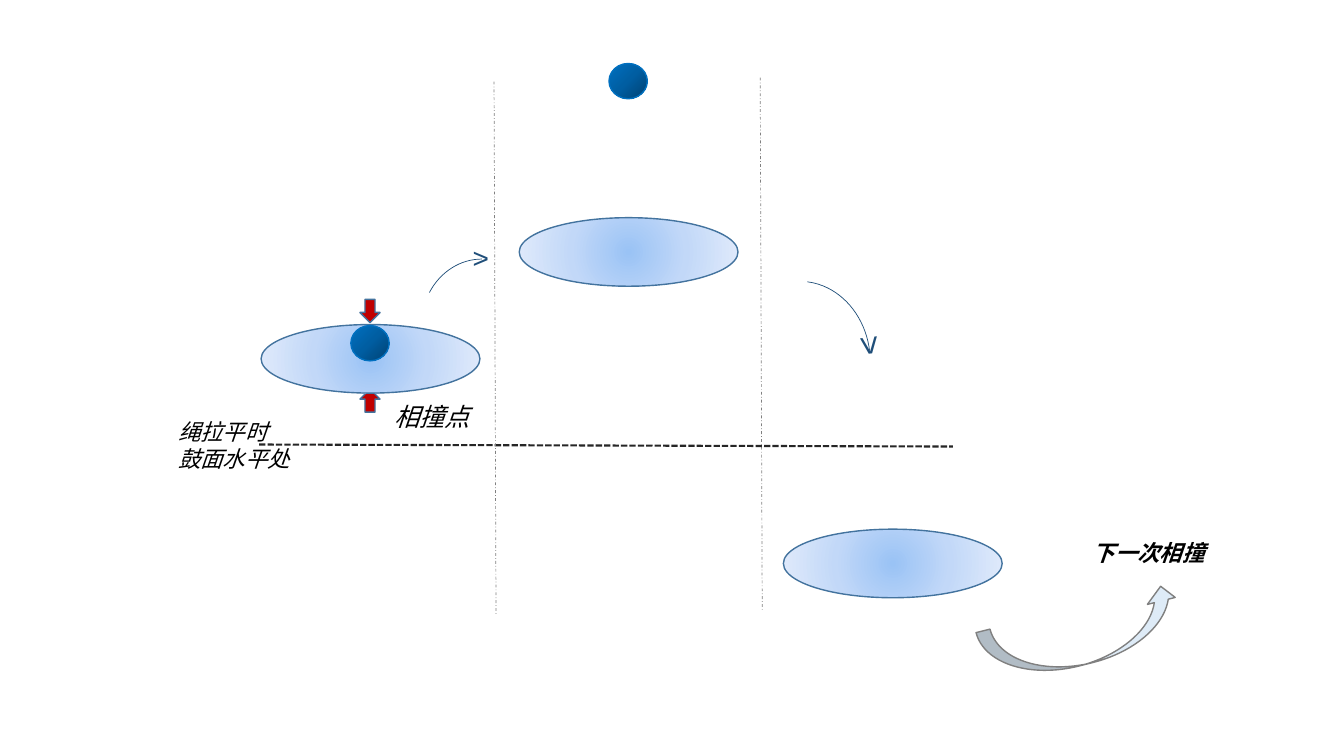
from dataclasses import dataclass

from lxml.etree import SubElement
from pptx import Presentation
from pptx.dml.color import RGBColor
from pptx.enum.dml import MSO_LINE
from pptx.enum.shapes import MSO_CONNECTOR, MSO_SHAPE
from pptx.enum.text import MSO_AUTO_SIZE
from pptx.oxml import parse_xml
from pptx.oxml.ns import nsdecls, qn
from pptx.util import Inches, Pt

COLORS = {
    "red": "C00000", "edge": "43739E", "ball": "0070C0", "navy": "1F4E79",
    "pale": "DEEBF7", "gray": "808080", "level": "262626", "ink": "000000",
}
GRADS = {
    "drum": ("9AC3F5", "C2D8F8", "E1EBFB"),
    "ball": ("004272", "005EA2", "0070C0"),
}
FOCUS = {"drum": (50, 50, 50, 50), "ball": (100, 100, 0, 0)}


@dataclass
class Form:
    kind: MSO_SHAPE
    left: float
    top: float
    width: float
    height: float
    line: str
    fill: str = ""
    grad: str = ""
    weight: float = 1
    turn: float = 0
    flip: str = ""
    sweep: float = 0


@dataclass
class Label:
    text: str
    left: float
    top: float
    width: float
    height: float
    size: int
    font: str = "Calibri"
    color: str = "ink"
    bold: bool = False
    italic: bool = True
    turn: float = 0


@dataclass
class Rule:
    start: tuple[float, float]
    end: tuple[float, float]
    color: str
    weight: float
    dash: MSO_LINE


def drum(left: float, top: float) -> Form:
    return Form(MSO_SHAPE.OVAL, left, top, 2.17, 0.68, "edge", grad="drum")


def ball(left: float, top: float) -> Form:
    return Form(MSO_SHAPE.OVAL, left, top, 0.38, 0.35, "ball", grad="ball")


def force(top: float, flip: str = "") -> Form:
    return Form(MSO_SHAPE.DOWN_ARROW, 3.57, top, 0.2, 0.23, "edge", "red", flip=flip)


def arc(left: float, top: float, width: float, height: float,
        sweep: float, turn: float = 0) -> Form:
    return Form(MSO_SHAPE.ARC, left, top, width, height, "navy", weight=0.5,
                turn=turn, flip="flipH", sweep=sweep)


def tip(left: float, top: float, width: float, height: float,
        size: int, turn: float = 0) -> Label:
    return Label(">", left, top, width, height, size, "Arial", "navy",
                 italic=False, turn=turn)


def divider(left: float, top: float) -> Rule:
    return Rule((left, top), (left + 0.02, top + 5.3), "gray", 0.5, MSO_LINE.DASH_DOT)


ITEMS = [
    force(3.86, "flipV"),
    drum(2.59, 3.22),
    ball(3.48, 3.23),
    force(2.97),
    Rule((2.57, 4.41), (9.45, 4.43), "level", 1.5, MSO_LINE.SQUARE_DOT),
    ball(6.04, 0.63),
    drum(5.15, 2.16),
    drum(7.77, 5.25),
    Label("相撞点", 3.81, 3.93, 1.29, 0.4, 18),
    Label("绳拉平时\n鼓面水平处", 1.67, 4.1, 1.67, 0.64, 16),
    divider(4.9, 0.81),
    divider(7.54, 0.77),
    Form(MSO_SHAPE.CURVED_RIGHT_ARROW, 10.45, 5.29, 0.57, 2.03, "gray", "pale", turn=255.9),
    Label("下一次相撞", 10.74, 5.3, 1.76, 0.37, 16, bold=True),
    arc(7.19, 2.89, 1.54, 1.34, 209.66, 83),
    tip(8.34, 3.28, 0.62, 0.52, 24, 83),
    arc(4.18, 2.57, 1.2, 1.32, 196.66),
    tip(4.59, 2.34, 0.51, 0.44, 20),
]


def shade(shape, name: str) -> None:
    """Give the shape a circular gradient, placed right after its geometry."""
    stops = "".join(
        f'<a:gs pos="{i * 50000}"><a:srgbClr val="{color}"/></a:gs>'
        for i, color in enumerate(GRADS[name]))
    rect = " ".join(f'{side}="{part * 1000}"' for side, part in zip("ltrb", FOCUS[name]))
    grad = parse_xml(
        f'<a:gradFill {nsdecls("a")} rotWithShape="1"><a:gsLst>{stops}</a:gsLst>'
        f'<a:path path="circle"><a:fillToRect {rect}/></a:path></a:gradFill>')
    shape._element.spPr.find(qn("a:prstGeom")).addnext(grad)


def add_form(slide, form: Form) -> None:
    box = map(Inches, (form.left, form.top, form.width, form.height))
    shape = slide.shapes.add_shape(form.kind, *box)
    shape.shadow.inherit = False
    shape.rotation = form.turn
    if form.flip:
        shape._element.spPr.find(qn("a:xfrm")).set(form.flip, "1")
    if form.sweep:
        shape.adjustments[0] = 162
        shape.adjustments[1] = form.sweep
    if form.grad:
        shade(shape, form.grad)
    elif form.fill:
        shape.fill.solid()
        shape.fill.fore_color.rgb = RGBColor.from_string(COLORS[form.fill])
    else:
        shape.fill.background()
    shape.line.color.rgb = RGBColor.from_string(COLORS[form.line])
    shape.line.width = Pt(form.weight)


def add_rule(slide, rule: Rule) -> None:
    ends = map(Inches, rule.start + rule.end)
    line = slide.shapes.add_connector(MSO_CONNECTOR.STRAIGHT, *ends)
    line.line.color.rgb = RGBColor.from_string(COLORS[rule.color])
    line.line.width = Pt(rule.weight)
    line.line.dash_style = rule.dash
    SubElement(line._element.spPr, qn("a:effectLst"))


def add_label(slide, label: Label) -> None:
    box = map(Inches, (label.left, label.top, label.width, label.height))
    shape = slide.shapes.add_textbox(*box)
    shape.rotation = label.turn
    frame = shape.text_frame
    frame.word_wrap = True
    frame.auto_size = MSO_AUTO_SIZE.SHAPE_TO_FIT_TEXT
    for i, text in enumerate(label.text.split("\n")):
        para = frame.add_paragraph() if i else frame.paragraphs[0]
        run = para.add_run()
        run.text = text
        run.font.name = label.font
        run.font.size = Pt(label.size)
        run.font.bold = label.bold
        run.font.italic = label.italic
        run.font.color.rgb = RGBColor.from_string(COLORS[label.color])


def main() -> None:
    deck = Presentation()
    deck.slide_width, deck.slide_height = Inches(13.33), Inches(7.5)
    slide = deck.slides.add_slide(deck.slide_layouts[6])
    draw = {Form: add_form, Rule: add_rule, Label: add_label}
    for item in ITEMS:
        draw[type(item)](slide, item)
    deck.save("out.pptx")


if __name__ == "__main__":
    main()
